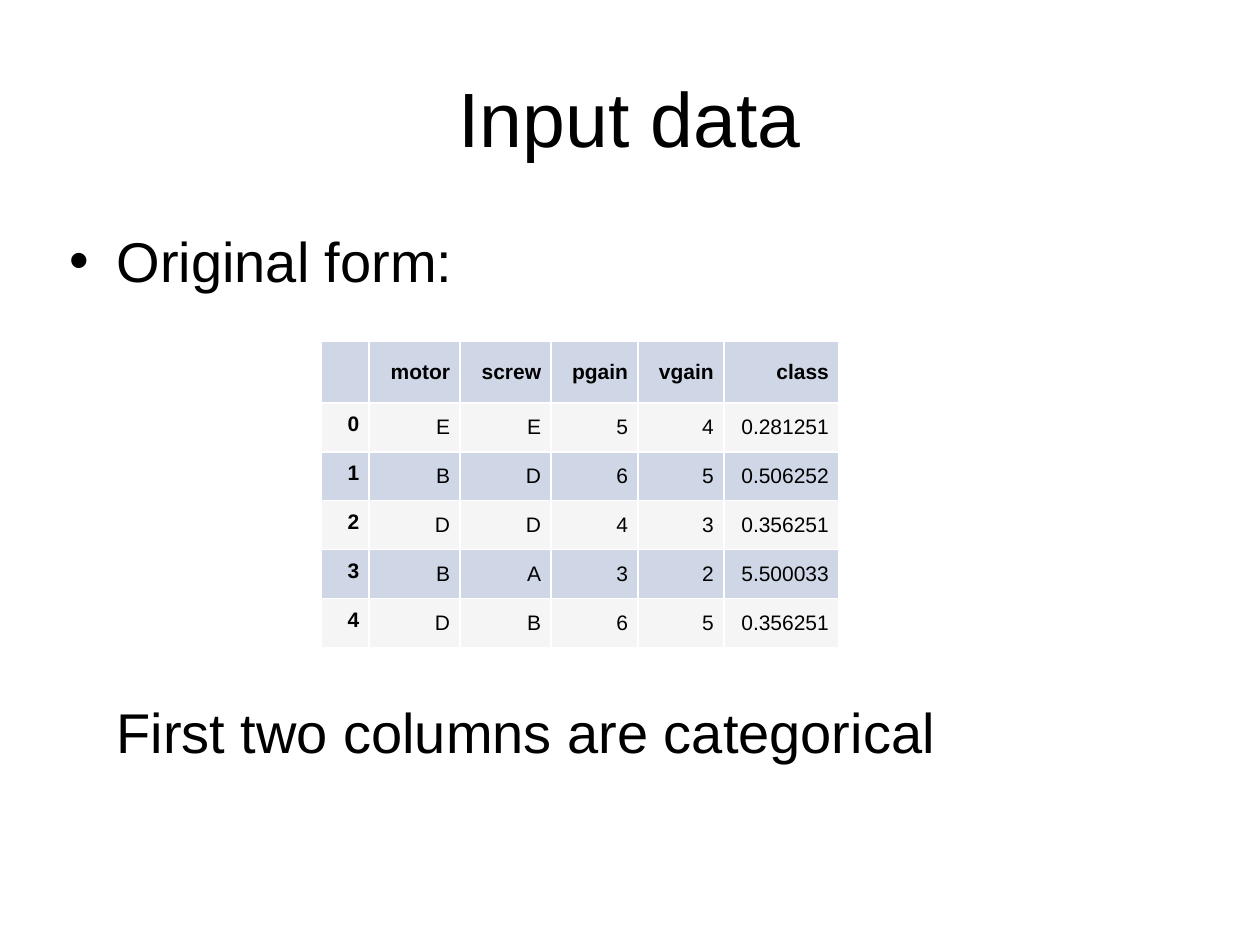
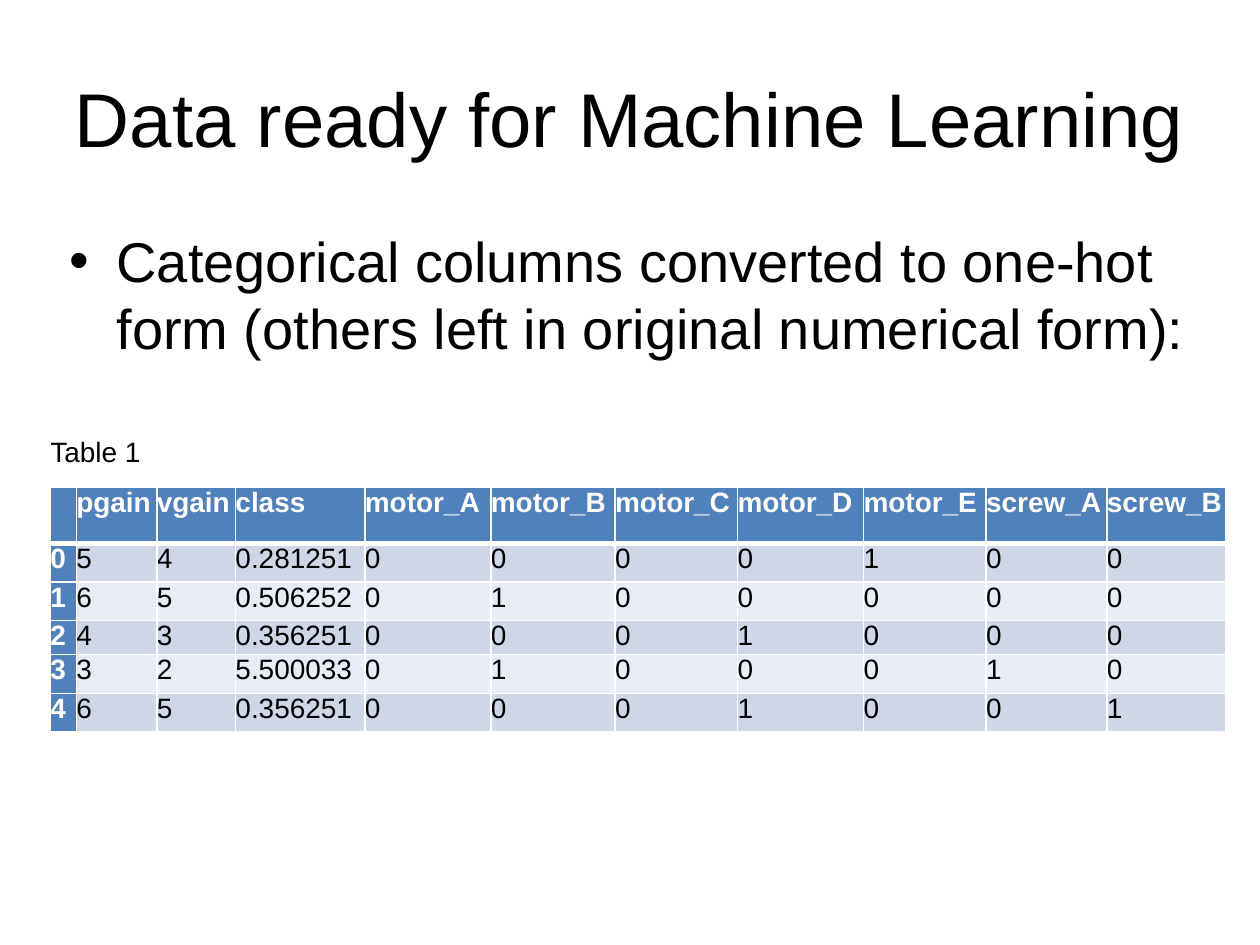
import pptx
import pptx.util
import pptx.dml.color
import pptx.enum.text
import pptx.oxml
import pptx.oxml.ns

Pt = pptx.util.Pt
RGBColor = pptx.dml.color.RGBColor
PP_ALIGN = pptx.enum.text.PP_ALIGN
MSO_ANCHOR = pptx.enum.text.MSO_ANCHOR

FONT = "Arial"
BLACK = RGBColor(0x00, 0x00, 0x00)
WHITE = RGBColor(0xFF, 0xFF, 0xFF)
HEADER_BLUE = RGBColor(0x4F, 0x81, 0xBD)
BAND_BLUE = RGBColor(0xCF, 0xD7, 0xE7)
BAND_PALE = RGBColor(0xE8, 0xEC, 0xF4)
BAND_GREY = RGBColor(0xF5, 0xF5, 0xF5)

records = [
    ("E", "E", 5, 4, "0.281251"),
    ("B", "D", 6, 5, "0.506252"),
    ("D", "D", 4, 3, "0.356251"),
    ("B", "A", 3, 2, "5.500033"),
    ("D", "B", 6, 5, "0.356251"),
]


def format_text(frame, size, color=BLACK, bold=False, align=PP_ALIGN.LEFT):
    for para in frame.paragraphs:
        para.alignment = align
        for span in para.runs:
            span.font.name = FONT
            span.font.size = Pt(size)
            span.font.bold = bold
            span.font.color.rgb = color


def add_grid(page, left, top, widths, heights, inset, header_row):
    frame = page.shapes.add_table(len(heights), len(widths), Pt(left), Pt(top),
                                  Pt(sum(widths)), Pt(sum(heights)))
    grid = frame.table
    grid.first_row = grid.horz_banding = False
    for column, width in zip(grid.columns, widths):
        column.width = Pt(width)
    for row_index, height in enumerate(heights):
        grid.rows[row_index].height = Pt(height)
        for cell in grid.rows[row_index].cells:
            cell.margin_left = cell.margin_right = Pt(inset)
            cell.margin_top = cell.margin_bottom = Pt(inset)
            properties = cell._tc.get_or_add_tcPr()
            for side in "LRTB":
                heavy = (row_index, side) in ((header_row, "B"), (header_row + 1, "T"))
                properties.append(pptx.oxml.parse_xml(
                    f'<a:ln{side} {pptx.oxml.ns.nsdecls("a")} w="{Pt(3 if heavy else 1)}">'
                    f'<a:solidFill><a:srgbClr val="{WHITE}"/></a:solidFill></a:ln{side}>'))
            cell.fill.background()
    return grid


deck = pptx.Presentation()
deck.slide_width = Pt(720)
deck.slide_height = Pt(540)

pages = []
for title, size, lines in [
    ("Input data", 44, ["Original form:", "First two columns are categorical"]),
    ("Data ready for Machine Learning", 43.5,
     ["Categorical columns converted to one-hot form (others left in original numerical form):"]),
]:
    page = deck.slides.add_slide(deck.slide_layouts[6])
    pages.append(page)

    title_box = page.shapes.add_textbox(Pt(36), Pt(21.6), Pt(648), Pt(90))
    body_box = page.shapes.add_textbox(Pt(36), Pt(126), Pt(648), Pt(356.4))
    for box in (title_box, body_box):
        frame = box.text_frame
        frame.word_wrap = True
        frame.margin_left = frame.margin_right = Pt(3.6)
        frame.margin_top = frame.margin_bottom = Pt(3.6)

    title_box.text_frame.text = title
    title_box.text_frame.vertical_anchor = MSO_ANCHOR.MIDDLE
    format_text(title_box.text_frame, size, align=PP_ALIGN.CENTER)

    body_box.text_frame.text = "\n".join(lines)
    format_text(body_box.text_frame, 32)
    for index, para in enumerate(body_box.text_frame.paragraphs):
        para.space_before = Pt(230.5 * index)
        properties = para._p.get_or_add_pPr()
        properties.set("marL", str(Pt(27)))
        properties.set("indent", str(0 if index else Pt(-27)))
        if index == 0:
            properties.append(pptx.oxml.parse_xml(
                f'<a:buFont {pptx.oxml.ns.nsdecls("a")} typeface="{FONT}"/>'))
            properties.append(pptx.oxml.parse_xml(
                f'<a:buChar {pptx.oxml.ns.nsdecls("a")} char="•"/>'))

input_page, encoded_page = pages

input_rows = [["", "motor", "screw", "pgain", "vgain", "class"]]
input_rows += [[index, *record] for index, record in enumerate(records)]
input_grid = add_grid(input_page, 183.6, 195.2, [27.4, 52, 52, 49.7, 49, 65.8],
                      [35] + [28] * len(records), 5.76, -2)
for row_index, values in enumerate(input_rows):
    for column_index, value in enumerate(values):
        cell = input_grid.cell(row_index, column_index)
        cell.text = str(value)
        is_label = row_index == 0 or column_index == 0
        format_text(cell.text_frame, 12, bold=is_label, align=PP_ALIGN.RIGHT)
        is_index = row_index > 0 and column_index == 0
        cell.vertical_anchor = MSO_ANCHOR.TOP if is_index else MSO_ANCHOR.MIDDLE
        cell.fill.solid()
        cell.fill.fore_color.rgb = BAND_GREY if row_index % 2 else BAND_BLUE

motors, screws = "ABCDE", "AB"
encoded_rows = [["", "pgain", "vgain", "class"]
                + [f"motor_{letter}" for letter in motors]
                + [f"screw_{letter}" for letter in screws]]
for index, (motor, screw, pgain, vgain, target) in enumerate(records):
    encoded_rows.append([index, pgain, vgain, target]
                        + [int(letter == motor) for letter in motors]
                        + [int(letter == screw) for letter in screws])

encoded_grid = add_grid(
    encoded_page, 28.8, 249.8,
    [14.8, 46, 45, 74, 72, 71, 70, 72, 70, 69, 68],
    [28.5, 32.4, 22, 22, 19.5, 22, 22], 0, 1)
caption = encoded_grid.cell(0, 0)
caption.merge(encoded_grid.cell(0, len(encoded_rows[0]) - 1))
caption.text = "Table 1"
format_text(caption.text_frame, 16)
for row_index, values in enumerate(encoded_rows):
    for column_index, value in enumerate(values):
        cell = encoded_grid.cell(row_index + 1, column_index)
        cell.text = str(value)
        is_label = row_index == 0 or column_index == 0
        format_text(cell.text_frame, 16, WHITE if is_label else BLACK, is_label)
        band = BAND_BLUE if row_index % 2 else BAND_PALE
        cell.fill.solid()
        cell.fill.fore_color.rgb = HEADER_BLUE if is_label else band

deck.save("out.pptx")
